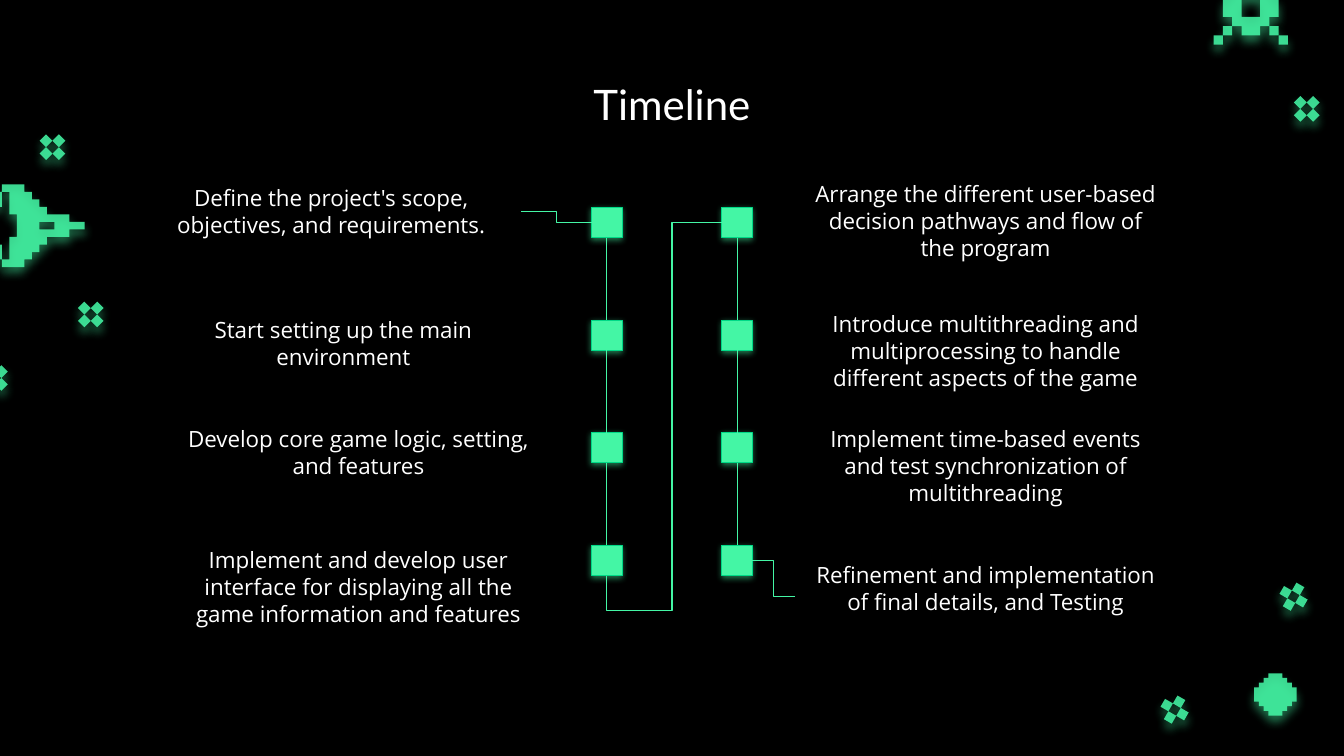
from math import cos, sin, radians
from lxml import etree
from pptx import Presentation
from pptx.dml.color import RGBColor
from pptx.enum.shapes import MSO_CONNECTOR, MSO_SHAPE
from pptx.enum.text import MSO_ANCHOR, PP_ALIGN
from pptx.oxml.ns import qn
from pptx.util import Inches, Pt

RECT = MSO_SHAPE.RECTANGLE
STRAIGHT, ELBOW = MSO_CONNECTOR.STRAIGHT, MSO_CONNECTOR.ELBOW
CENTER, TOP = PP_ALIGN.CENTER, MSO_ANCHOR.TOP

# Grid of one-inch columns and rows
WIDE, HIGH = 13.33, 7.5
MINT, EDGE, WHITE, BLACK = "44F6A5", "00D987", "FFFFFF", "000000"
INSET = 0.13

# Pixel outlines: start cell, then steps that alternate down and across
SHIP = [
    ((0, 1), [1, 1, 1, 1, -2]),
    ((9, 5), [1, -2, -1]),
    ((1, 8), [1, -1, 1, 2, -2]),
    ((2, 0), [1, 1, 3, 1, 3, -1, 3, -1, 1, 3, -1, 1, -1, 1, -1, 1, -1, 3,
              -1, 2, -1, -2, -1, -3, -1, -1, -1, -1, -1, -1, -1]),
]
PLANET = [((3, 0), [1, -1] * 3 + [3, 1] + [1, 1] * 2 + [1, 3]
           + [-1, 1] * 3 + [-3, -1] + [-1, -1] * 2 + [-1])]
ALIEN = [
    ((2, 2), [2, 2, -2]),
    ((4, 0), [1, 1, 1, 1, 2, -1, 1, -1, 1, -2, -1, -1, -1, -1, -2, 1, -1, 1, -1]),
]
FEET = [(5, 5), (6, 6), (-1, 6), (0, 5)]
DOT = [1, 1, -1]

# Sparks: centre and turn
SPARKS = [(0.52, 1.46, 315), (0.9, 3.12, 315), (-0.05, 3.75, 315),
          (12.96, 1.08, 315), (11.65, 7.04, 120), (12.83, 5.92, 120)]

# Steps: text and the left, top, height of its box
STEPS = [
    ("Define the project's scope, objectives, and requirements.", 1.41, 1.7, 0.81),
    ("Start setting up the main environment", 1.53, 3.01, 0.81),
    ("Develop core game logic, setting, and features", 1.68, 4.09, 0.7),
    ("Implement and develop user interface for displaying all the game "
     "information and features", 1.68, 5.29, 1.23),
    ("Arrange the different user-based decision pathways and flow of the program",
     7.9, 1.66, 1.07),
    ("Introduce multithreading and multiprocessing to handle different aspects "
     "of the game", 7.9, 2.95, 1.02),
    ("Implement time-based events and test synchronization of multithreading",
     7.9, 4.09, 0.96),
    ("Refinement and implementation of final details, and Testing", 7.9, 5.44, 0.96),
]


def rgb(code):
    return RGBColor.from_string(code)


def glow(shape, blur, dist):
    fx = etree.SubElement(shape._element.spPr, qn("a:effectLst"))
    cast = etree.SubElement(fx, qn("a:outerShdw"), blurRad=str(Pt(blur)),
                            dist=str(Pt(dist)), dir="5400000", algn="bl",
                            rotWithShape="0")
    tint = etree.SubElement(cast, qn("a:srgbClr"), val=MINT)
    etree.SubElement(tint, qn("a:alpha"), val="50000")


def put_text(slide, text, box, size=16, font="Open Sans", color=WHITE):
    frame = slide.shapes.add_textbox(*map(Inches, box)).text_frame
    frame.word_wrap = True
    frame.vertical_anchor = TOP
    frame.margin_left = frame.margin_right = Inches(INSET)
    frame.margin_top = frame.margin_bottom = Inches(INSET)
    para = frame.paragraphs[0]
    para.alignment = CENTER
    run = para.add_run()
    run.text = text
    run.font.size, run.font.name = Pt(size), font
    run.font.color.rgb = rgb(color)


def draw_art(slide, left, top, cell, loops, turn=0):
    def spot(x, y):
        return Inches(left + x * cell), Inches(top + y * cell)

    pen = None
    for (x, y), moves in loops:
        if pen is None:
            pen = slide.shapes.build_freeform(*spot(x, y), scale=1.0)
        else:
            pen.move_to(*spot(x, y))
        points = []
        for i, step in enumerate(moves):
            x, y = (x + step, y) if i % 2 else (x, y + step)
            points.append(spot(x, y))
        pen.add_line_segments(points, close=True)
    art = pen.convert_to_shape()
    art.rotation = turn
    art.fill.solid()
    art.fill.fore_color.rgb = rgb(MINT)
    tint = art._element.spPr.find(qn("a:solidFill")).find(qn("a:srgbClr"))
    etree.SubElement(tint, qn("a:alpha"), val="87000")
    art.line.fill.background()
    glow(art, 6.8, 4.5)


def draw_spark(slide, x, y, turn, cell=0.09):
    for k in range(4):
        angle = radians(turn + 90 * k)
        mid = x + cell * cos(angle)
        if mid > 0:  # keep only the squares that show
            draw_art(slide, mid - cell / 2, y + cell * sin(angle) - cell / 2,
                     cell, [((0, 0), DOT)], turn)


def draw_sky(slide):
    draw_art(slide, -0.13, 1.83, 0.0745, SHIP)
    draw_art(slide, 12.44, 6.68, 0.0467, PLANET)
    draw_art(slide, 12.13, -0.2, 0.092, ALIEN)
    for foot in FEET:
        draw_art(slide, 12.13, -0.2, 0.092, [(foot, DOT)])
    for spark in SPARKS:
        draw_spark(slide, *spark)


def link(slide, start, end, kind=STRAIGHT):
    line = slide.shapes.add_connector(kind, *map(Inches, start + end))
    line.line.color.rgb = rgb(MINT)
    line.line.width = Pt(0.75)
    etree.SubElement(line._element.spPr, qn("a:effectLst"))
    return line


def loop_link(slide, start, end):
    """Run below the start, up between the tracks and into the end."""
    mid_x, mid_y = (start[0] + end[0]) / 2, (start[1] + end[1]) / 2
    half_w, half_h = (start[1] - end[1]) / 2, (end[0] - start[0]) / 2
    line = link(slide, (mid_x - half_w, mid_y - half_h),
                (mid_x + half_w, mid_y + half_h), ELBOW)
    props = line._element.spPr
    props.find(qn("a:xfrm")).set("rot", "16200000")
    geom = props.find(qn("a:prstGeom"))
    geom.set("prst", "bentConnector4")
    bends = geom.find(qn("a:avLst"))
    for name, value in (("adj1", -9900), ("adj2", 56600)):
        etree.SubElement(bends, qn("a:gd"), name=name, fmla=f"val {value}")


def draw_track(slide, box, side=0.3, rows=4):
    left, top, width, height = box
    gap, half = (height - side) / (rows - 1), side / 2
    cols = [left, left + width - side]
    for x in cols:
        for row in range(rows):
            y = top + row * gap
            mark = slide.shapes.add_shape(RECT, *map(Inches, (x, y, side, side)))
            mark.fill.solid()
            mark.fill.fore_color.rgb = rgb(MINT)
            mark.line.color.rgb = rgb(EDGE)
            mark.line.width = Pt(0.75)
            glow(mark, 4.5, 1.5)
            if row:
                link(slide, (x + half, y - gap + side), (x + half, y))
    # Links into, between and out of the two tracks
    first, base = top + half, top + height
    link(slide, (left - 0.7, first - 0.11), (left, first), ELBOW)
    loop_link(slide, (left + half, base), (cols[1], first))
    link(slide, (left + width, base - half),
         (left + width + 0.43, base - half + 0.36), ELBOW)


def main():
    deck = Presentation()
    deck.slide_width, deck.slide_height = Inches(WIDE), Inches(HIGH)
    slide = deck.slides.add_slide(deck.slide_layouts[6])
    slide.background.fill.solid()
    slide.background.fill.fore_color.rgb = rgb(BLACK)
    draw_sky(slide)
    put_text(slide, "Timeline", (1.05, 0.65, 11.23, 0.84), size=30, font="Lato")
    for text, left, top, height in STEPS:
        put_text(slide, text, (left, top, 3.75, height))
    draw_track(slide, (5.87, 2.06, 1.59, 3.65))
    deck.save("out.pptx")


if __name__ == "__main__":
    main()
